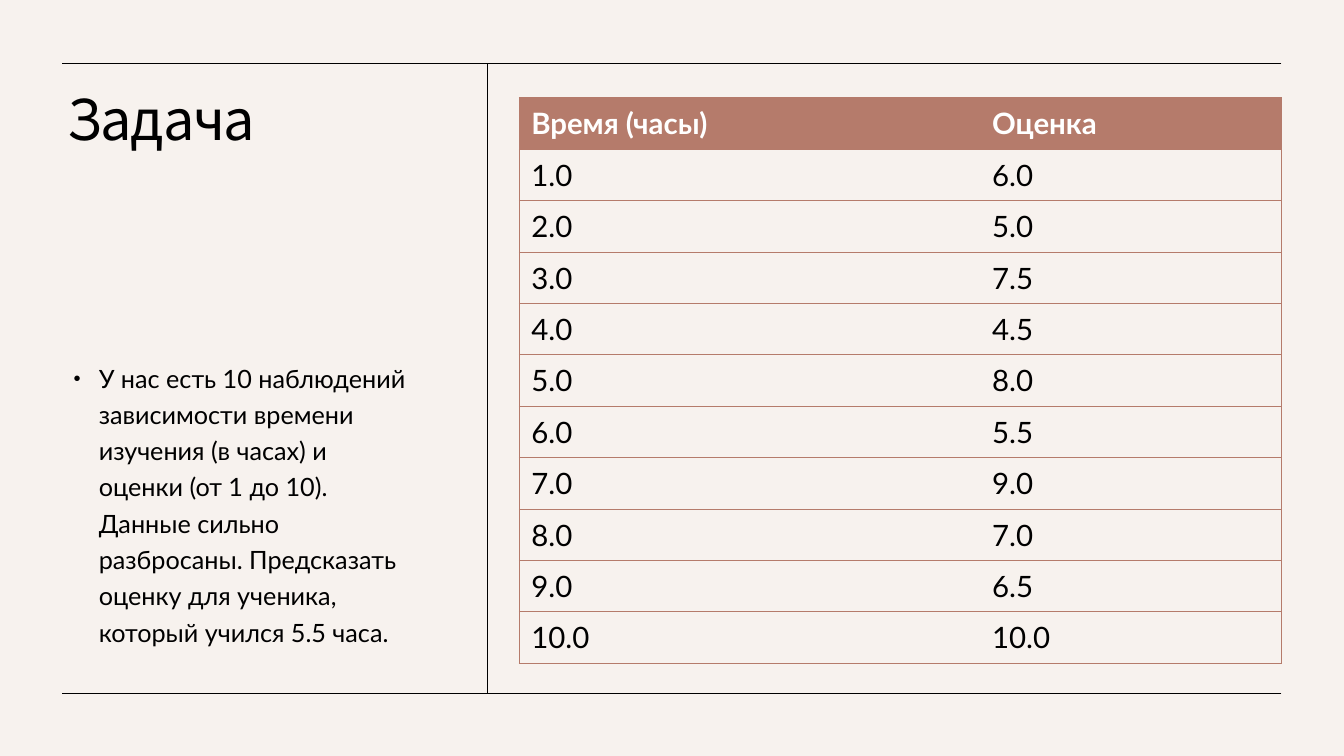
from lxml import etree
from pptx import Presentation
from pptx.dml.color import RGBColor
from pptx.enum.shapes import MSO_CONNECTOR
from pptx.enum.text import MSO_ANCHOR, MSO_AUTO_SIZE, PP_ALIGN
from pptx.oxml.ns import qn
from pptx.util import Inches, Pt

STRAIGHT = MSO_CONNECTOR.STRAIGHT
TOP, MIDDLE, BOTTOM = MSO_ANCHOR.TOP, MSO_ANCHOR.MIDDLE, MSO_ANCHOR.BOTTOM
LEFT = PP_ALIGN.LEFT
NO_AUTOFIT = MSO_AUTO_SIZE.NONE

WIDTH, HEIGHT = 13.33, 7.5
MARGIN = 0.62
RIGHT_EDGE = WIDTH - MARGIN
TOP_RULE, BOTTOM_RULE = 0.63, 6.88
DIVIDER = 4.83
ROW_HEIGHT = 0.51
BODY_FONT, TITLE_FONT = "Lato", "Noto Sans CJK KR"
CREAM, CLAY, BLACK, WHITE = "F7F2EE", "B57B6B", "000000", "FFFFFF"

TASK = (
    "У нас есть 10 наблюдений зависимости времени изучения (в часах) и оценки "
    "(от 1 до 10). Данные сильно разбросаны. Предсказать оценку для ученика, "
    "который учился 5.5 часа."
)
HEADINGS = ("Время (часы)", "Оценка")
GRADES = (6.0, 5.0, 7.5, 4.5, 8.0, 5.5, 9.0, 7.0, 6.5, 10.0)


def color(hex_code):
    return RGBColor.from_string(hex_code)


def write(frame, text, size, font=BODY_FONT, ink=BLACK, bold=False,
          anchor=TOP, line_spacing=1.0, before=0, tracking=0):
    frame.word_wrap = True
    frame.vertical_anchor = anchor
    para = frame.paragraphs[0]
    para.alignment = LEFT
    para.line_spacing = line_spacing
    para.space_before = Pt(before)
    span = para.add_run()
    span.text = text
    span.font.name = font
    span.font.size = Pt(size)
    span.font.bold = bold
    span.font.color.rgb = color(ink)
    properties = span.font._element
    for script in ("a:ea", "a:cs"):
        etree.SubElement(properties, qn(script), typeface=font)
    if tracking:
        properties.set("spc", str(tracking * 100))
    return para


def place(box, left, top, width, height):
    box.left, box.top = Inches(left), Inches(top)
    box.width, box.height = Inches(width), Inches(height)
    box.text_frame.auto_size = NO_AUTOFIT
    return box.text_frame


def add_bullet(para, indent, percent):
    properties = para._p.get_or_add_pPr()
    properties.set("marL", str(Inches(indent)))
    properties.set("indent", str(-Inches(indent)))
    etree.SubElement(properties, qn("a:buSzPct"), val=str(percent * 1000))
    etree.SubElement(properties, qn("a:buFont"), typeface="Arial")
    etree.SubElement(properties, qn("a:buChar"), char="•")


def add_rule(page, x1, y1, x2, y2):
    rule = page.shapes.add_connector(
        STRAIGHT, Inches(x1), Inches(y1), Inches(x2), Inches(y2))
    rule.line.color.rgb = color(BLACK)
    rule.line.width = Pt(0.5)
    etree.SubElement(rule._element.spPr, qn("a:effectLst"))


def set_borders(cell, visible):
    properties = cell._tc.get_or_add_tcPr()
    for side in "LRTB":
        border = etree.SubElement(properties, qn(f"a:ln{side}"), w=str(Pt(0.5)))
        if side in visible:
            fill = etree.SubElement(border, qn("a:solidFill"))
            etree.SubElement(fill, qn("a:srgbClr"), val=CLAY)
        else:
            etree.SubElement(border, qn("a:noFill"))


def fill_cell(cell, text, is_heading, outer_side):
    cell.margin_left = cell.margin_right = Inches(0.12)
    cell.margin_top = cell.margin_bottom = Inches(0.06)
    set_borders(cell, "TB" + outer_side)
    if is_heading:
        cell.fill.solid()
        cell.fill.fore_color.rgb = color(CLAY)
    else:
        cell.fill.background()
    write(cell.text_frame, text, 21, ink=WHITE if is_heading else BLACK,
          bold=is_heading)
    cell.vertical_anchor = MIDDLE


def add_grade_table(page, left, top, column_widths):
    rows = [HEADINGS] + [(f"{hour:.1f}", f"{grade:.1f}")
                         for hour, grade in enumerate(GRADES, 1)]
    table = page.shapes.add_table(
        len(rows), len(HEADINGS), Inches(left), Inches(top),
        Inches(sum(column_widths)), Inches(ROW_HEIGHT * len(rows))).table
    table.horz_banding = False
    for column, width in zip(table.columns, column_widths):
        column.width = Inches(width)
    for number, values in enumerate(rows):
        table.rows[number].height = Inches(ROW_HEIGHT)
        for column, (text, side) in enumerate(zip(values, "LR")):
            fill_cell(table.cell(number, column), text, number == 0, side)


def main():
    deck = Presentation()
    deck.slide_width, deck.slide_height = Inches(WIDTH), Inches(HEIGHT)
    page = deck.slides.add_slide(deck.slide_layouts[1])
    page.background.fill.solid()
    page.background.fill.fore_color.rgb = color(CREAM)

    title = place(page.shapes.title, 0.57, 0.86, 3.84, 2.2)
    write(title, "Задача", 40, font=TITLE_FONT, line_spacing=0.9, tracking=-1)
    body = place(page.placeholders[1], 0.63, 3.35, 3.58, 3.12)
    task = write(body, TASK, 18, anchor=BOTTOM, line_spacing=1.2, before=10)
    add_bullet(task, 0.25, 80)

    for height in (TOP_RULE, BOTTOM_RULE):
        add_rule(page, RIGHT_EDGE, height, MARGIN, height)
    add_rule(page, DIVIDER, TOP_RULE, DIVIDER, BOTTOM_RULE)
    add_grade_table(page, 5.15, 0.97, (4.57, 2.99))
    deck.save("out.pptx")


if __name__ == "__main__":
    main()
